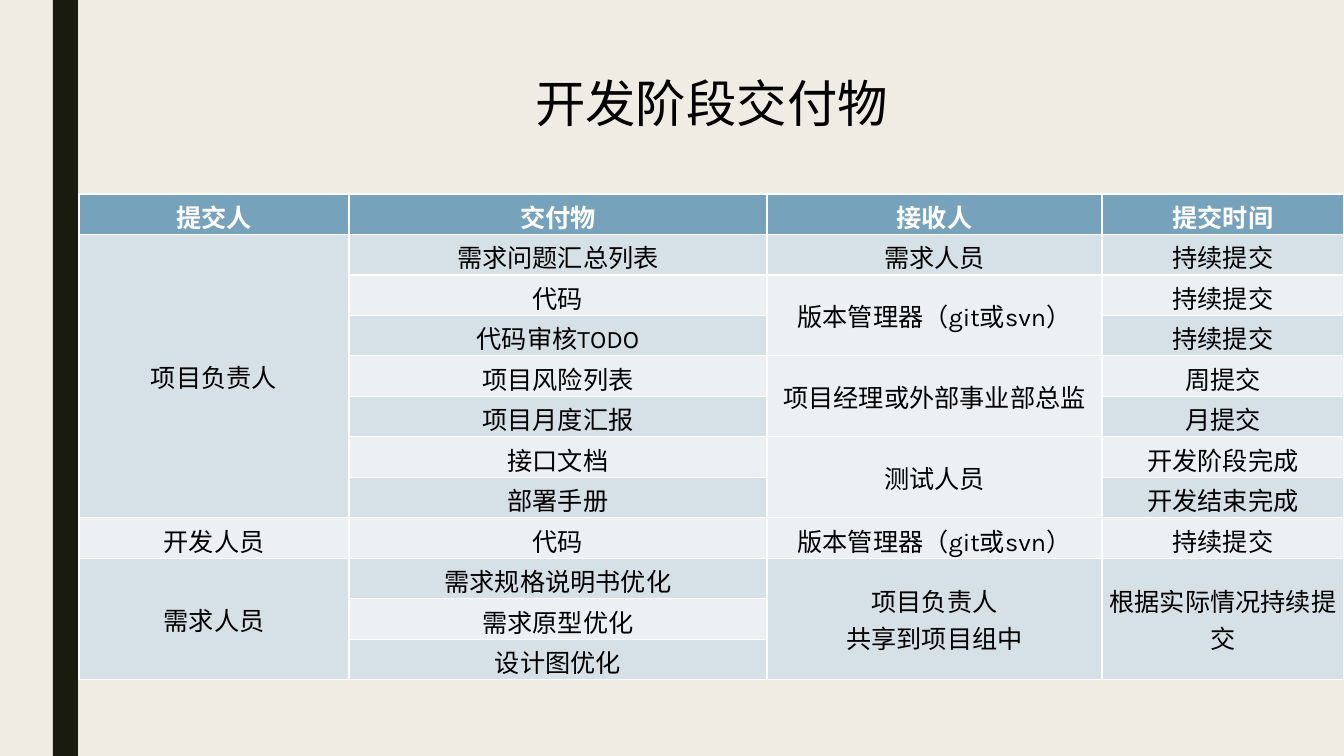
from pptx import Presentation
from pptx.dml.color import RGBColor
from pptx.enum.shapes import MSO_SHAPE
from pptx.enum.text import MSO_ANCHOR, PP_ALIGN
from pptx.util import Pt

THEME = {
    "font": "Karla",
    "title_size": Pt(36),
    "table_size": Pt(18),
    "page": RGBColor.from_string("EFEDE3"),
    "bar": RGBColor.from_string("191B0E"),
    "text": RGBColor.from_string("000000"),
    "header_text": RGBColor.from_string("FFFFFF"),
    "header": RGBColor.from_string("77A2BB"),
    "bands": [RGBColor.from_string("ECF0F3"), RGBColor.from_string("D6E0E7")],
}

COLUMN_WIDTHS = [270, 418, 335, 242]
ROW_HEIGHT = 40
DELIVERABLES = [
    ["提交人", "交付物", "接收人", "提交时间"],
    ["项目负责人", "需求问题汇总列表", "需求人员", "持续提交"],
    [None, "代码", "版本管理器（git或svn）", "持续提交"],
    [None, "代码审核TODO", None, "持续提交"],
    [None, "项目风险列表", "项目经理或外部事业部总监", "周提交"],
    [None, "项目月度汇报", None, "月提交"],
    [None, "接口文档", "测试人员", "开发阶段完成"],
    [None, "部署手册", None, "开发结束完成"],
    ["开发人员", "代码", "版本管理器（git或svn）", "持续提交"],
    ["需求人员", "需求规格说明书优化", "项目负责人\n共享到项目组中", "根据实际情况持续提交"],
    [None, "需求原型优化", None, None],
    [None, "设计图优化", None, None],
]


def px(length):
    return round(length * 914400 / 100.8)


def write(frame, text, size, color, bold=False):
    for index, line in enumerate(text.split("\n")):
        para = frame.paragraphs[0] if index == 0 else frame.add_paragraph()
        para.alignment = PP_ALIGN.CENTER
        span = para.add_run()
        span.text = line
        span.font.name = THEME["font"]
        span.font.size = size
        span.font.bold = bold
        span.font.color.rgb = color


deck = Presentation()
deck.slide_width, deck.slide_height = px(1344), px(756)
page = deck.slides.add_slide(deck.slide_layouts[5])
page.background.fill.solid()
page.background.fill.fore_color.rgb = THEME["page"]

bar = page.shapes.add_shape(MSO_SHAPE.RECTANGLE, px(53), 0, px(25), px(756))
bar.shadow.inherit = False
bar.fill.solid()
bar.fill.fore_color.rgb = THEME["bar"]
bar.line.fill.background()

title = page.shapes.title
title.left, title.top, title.width, title.height = px(79), px(66), px(1265), px(72)
title.text_frame.vertical_anchor = MSO_ANCHOR.MIDDLE
write(title.text_frame, "开发阶段交付物", THEME["title_size"], THEME["text"])

row_count = len(DELIVERABLES)
table = page.shapes.add_table(
    row_count, len(COLUMN_WIDTHS), px(79), px(194),
    px(sum(COLUMN_WIDTHS)), px(ROW_HEIGHT * row_count),
).table
for column, width in zip(table.columns, COLUMN_WIDTHS):
    column.width = px(width)
for row in table.rows:
    row.height = px(ROW_HEIGHT)

for row_index, texts in enumerate(DELIVERABLES):
    is_header = row_index == 0
    for column_index, text in enumerate(texts):
        cell = table.cell(row_index, column_index)
        cell.margin_left = cell.margin_right = px(1)
        cell.margin_top = cell.margin_bottom = 0
        if text is None:
            continue
        last = row_index
        while last + 1 < row_count and DELIVERABLES[last + 1][column_index] is None:
            last += 1
        if last > row_index:
            cell.merge(table.cell(last, column_index))
        else:
            cell.margin_top = px(4)
        cell.vertical_anchor = MSO_ANCHOR.MIDDLE
        cell.fill.solid()
        cell.fill.fore_color.rgb = THEME["header"] if is_header else THEME["bands"][row_index % 2]
        color = THEME["header_text"] if is_header else THEME["text"]
        write(cell.text_frame, text, THEME["table_size"], color, is_header)

deck.save("out.pptx")
